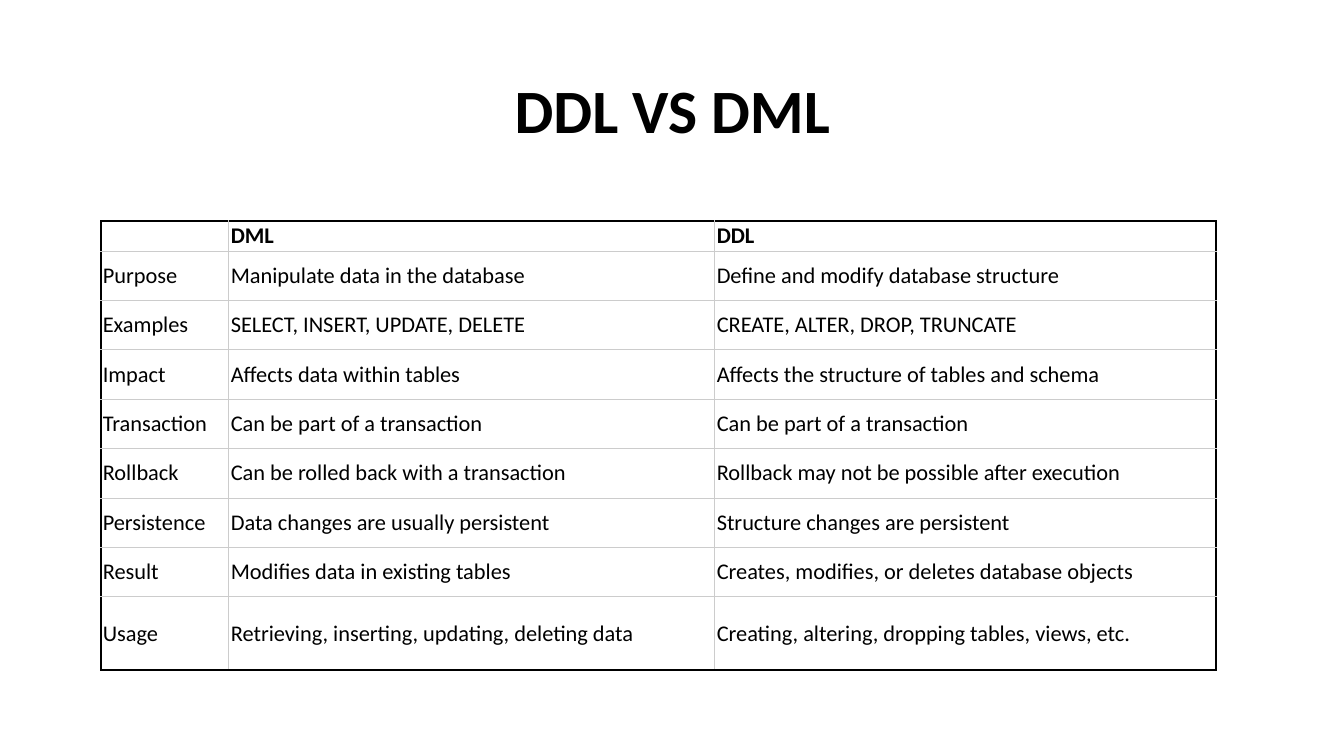
from dataclasses import dataclass

from lxml import etree
from pptx import Presentation
from pptx.dml.color import RGBColor
from pptx.enum import text
from pptx.oxml import ns
from pptx.util import Inches, Pt

# Content
TITLE = "DDL VS DML"
ROWS = [
    ("", "DML", "DDL"),
    ("Purpose", "Manipulate data in the database", "Define and modify database structure"),
    ("Examples", "SELECT, INSERT, UPDATE, DELETE", "CREATE, ALTER, DROP, TRUNCATE"),
    ("Impact", "Affects data within tables", "Affects the structure of tables and schema"),
    ("Transaction", "Can be part of a transaction", "Can be part of a transaction"),
    ("Rollback", "Can be rolled back with a transaction",
     "Rollback may not be possible after execution"),
    ("Persistence", "Data changes are usually persistent", "Structure changes are persistent"),
    ("Result", "Modifies data in existing tables",
     "Creates, modifies, or deletes database objects"),
    ("Usage", "Retrieving, inserting, updating, deleting data",
     "Creating, altering, dropping tables, views, etc."),
]
COLUMN_WIDTHS = (1.27, 4.82, 4.97)
ROW_HEIGHTS = [0.25] + [0.49] * (len(ROWS) - 2) + [0.73]


@dataclass(frozen=True)
class Theme:
    font: str = "Calibri"
    ink: str = "000000"
    grid: str = "CCCCCC"
    title_size: int = 44
    cell_size: int = 16
    outer_line: float = 1.2
    inner_line: float = 0.6


THEME = Theme()


def add_span(para, words, size, bold):
    span = para.add_run()
    span.text = words
    span.font.name = THEME.font
    span.font.size = Pt(size)
    span.font.bold = bold
    span.font.color.rgb = RGBColor.from_string(THEME.ink)


def set_borders(cell, outer_sides):
    """Draw the outer edges dark and the inner ones as a light grid."""
    properties = cell._tc.get_or_add_tcPr()
    for position, (side, outer) in enumerate(outer_sides.items()):
        color = THEME.ink if outer else THEME.grid
        width = THEME.outer_line if outer else THEME.inner_line
        line = etree.Element(ns.qn(f"a:{side}"), w=str(int(Pt(width))))
        fill = etree.SubElement(line, ns.qn("a:solidFill"))
        etree.SubElement(fill, ns.qn("a:srgbClr"), val=color)
        properties.insert(position, line)


def add_title(page):
    box = page.shapes.add_textbox(Inches(0.92), Inches(0.4), Inches(11.5), Inches(1.45))
    frame = box.text_frame
    frame.word_wrap = True
    frame.vertical_anchor = text.MSO_ANCHOR.MIDDLE
    para = frame.paragraphs[0]
    para.alignment = text.PP_ALIGN.CENTER
    para.line_spacing = 0.9
    add_span(para, TITLE, THEME.title_size, True)


def fill_cell(cell, words, bold):
    cell.fill.background()
    cell.vertical_anchor = text.MSO_ANCHOR.MIDDLE
    cell.margin_left = cell.margin_right = Inches(0.02)
    cell.margin_top = cell.margin_bottom = 0
    add_span(cell.text_frame.paragraphs[0], words, THEME.cell_size, bold)


def add_comparison(page):
    last_row, last_column = len(ROWS) - 1, len(COLUMN_WIDTHS) - 1
    table = page.shapes.add_table(
        len(ROWS), len(COLUMN_WIDTHS), Inches(1), Inches(2.19),
        Inches(sum(COLUMN_WIDTHS)), Inches(sum(ROW_HEIGHTS))).table
    table.first_row = table.horz_banding = False
    for column, width in zip(table.columns, COLUMN_WIDTHS):
        column.width = Inches(width)
    for row, height in zip(table.rows, ROW_HEIGHTS):
        row.height = Inches(height)
    for r, entries in enumerate(ROWS):
        for c, words in enumerate(entries):
            cell = table.cell(r, c)
            fill_cell(cell, words, bold=r == 0)
            set_borders(cell, {"lnL": c == 0, "lnR": c == last_column,
                               "lnT": r == 0, "lnB": r == last_row})


def main():
    deck = Presentation()
    deck.slide_width, deck.slide_height = Inches(13.33), Inches(7.5)
    page = deck.slides.add_slide(deck.slide_layouts[6])
    add_title(page)
    add_comparison(page)
    deck.save("out.pptx")


if __name__ == "__main__":
    main()
